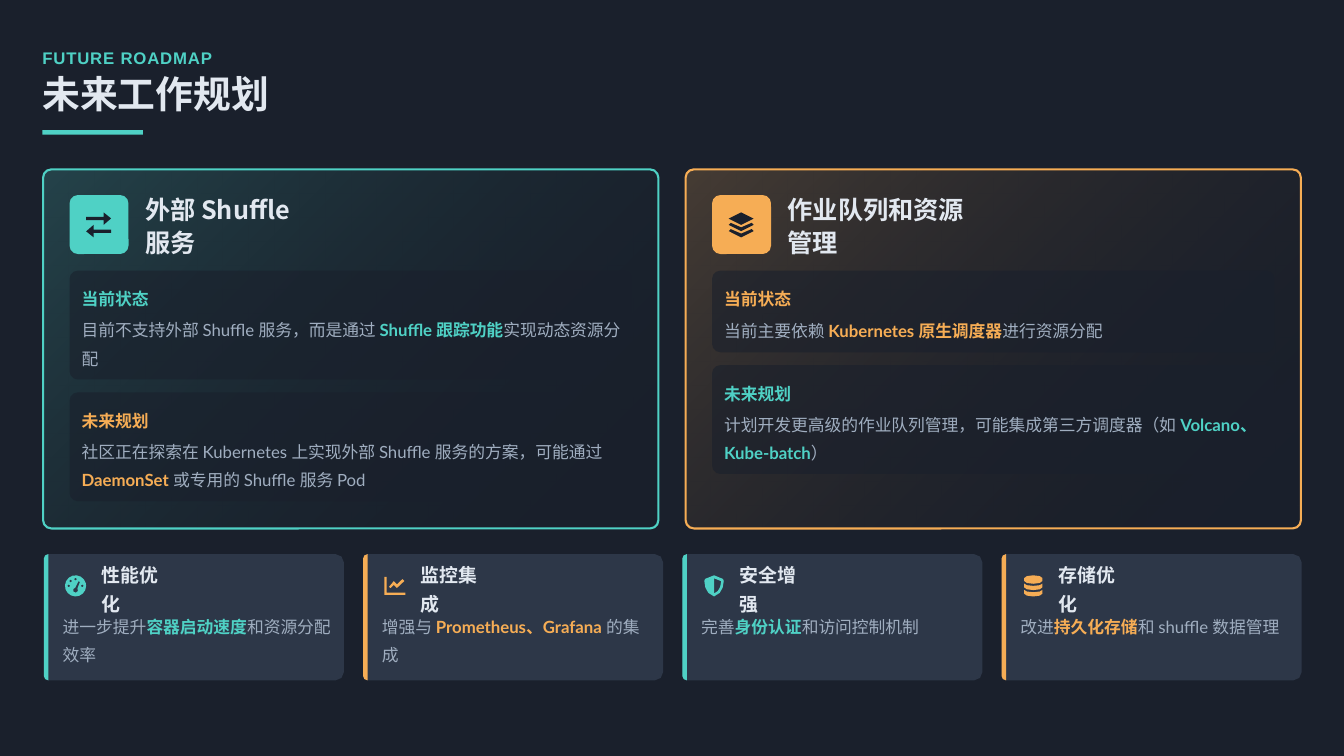
import math
from typing import NamedTuple

import lxml.etree
import pptx
import pptx.dml.color
import pptx.enum.dml
import pptx.enum.shapes
import pptx.enum.text
import pptx.oxml.ns
import pptx.util

Inches = pptx.util.Inches
RGBColor = pptx.dml.color.RGBColor
SHAPE = pptx.enum.shapes.MSO_SHAPE
TEAL = RGBColor(0x4F, 0xD1, 0xC5)
ORANGE = RGBColor(0xF6, 0xAD, 0x55)
NIGHT = RGBColor(0x1A, 0x20, 0x2C)
SLATE = RGBColor(0x2D, 0x37, 0x48)
WHITE = RGBColor(0xE2, 0xE8, 0xF0)
GREY = RGBColor(0xA0, 0xAE, 0xC0)
BLACK = RGBColor(0, 0, 0)
CJK = "Noto Sans CJK SC"
RADIUS = 0.11


class Box(NamedTuple):
    left: float
    top: float
    width: float
    height: float

    def inner(self, left, top, width, height):
        return Box(self.left + left, self.top + top, width, height)

    def lengths(self):
        return [Inches(value) for value in self]


# Text
def write(frame, spans, spacing):
    """Fill a frame with one paragraph of (text, size, font name, colour, bold) spans."""
    formats = {"word_wrap": True, "auto_size": pptx.enum.text.MSO_AUTO_SIZE.NONE,
               "vertical_anchor": pptx.enum.text.MSO_ANCHOR.MIDDLE,
               "margin_left": 0, "margin_top": 0, "margin_right": 0, "margin_bottom": 0}
    for name, value in formats.items():
        setattr(frame, name, value)
    para = frame.paragraphs[0]
    para.alignment = pptx.enum.text.PP_ALIGN.LEFT
    para.line_spacing = spacing
    for text, size, face, color, bold in spans:
        span = para.add_run()
        span.text = text
        for name, value in {"size": pptx.util.Pt(size), "name": face, "bold": bold}.items():
            setattr(span.font, name, value)
        span.font.color.rgb = color
        east = lxml.etree.SubElement(span._r.get_or_add_rPr(), pptx.oxml.ns.qn("a:ea"))
        east.set("typeface", CJK)
    return para


def add_text(page, box, spans, spacing):
    return write(page.shapes.add_textbox(*box.lengths()).text_frame, spans, spacing)


def add_heading(page, box, text, size, spacing, color=WHITE):
    add_text(page, box, [(text, size, CJK, color, True)], spacing)


def add_body(page, box, parts, accent):
    """Write plain, highlighted and plain text one after another."""
    colors = (GREY, accent, GREY)
    spans = [(text, 16, "Lato", color, color == accent) for text, color in zip(parts, colors)]
    add_text(page, box, spans, 1.4)


# Shapes
def set_alpha(element, percent):
    for color in element.iter(pptx.oxml.ns.qn("a:srgbClr")):
        lxml.etree.SubElement(color, pptx.oxml.ns.qn("a:alpha")).set("val", str(percent * 1000))


def paint(shape, color):
    shape.shadow.inherit = False
    shape.fill.solid()
    shape.fill.fore_color.rgb = color
    shape.line.fill.background()
    return shape


def add_panel(page, box, color, kind=SHAPE.ROUNDED_RECTANGLE):
    shape = page.shapes.add_shape(kind, *box.lengths())
    if kind == SHAPE.ROUNDED_RECTANGLE:
        shape.adjustments[0] = RADIUS / min(box.width, box.height)
    return paint(shape, color)


def add_outline(page, box, contours, color):
    """Draw closed contours whose points are fractions of the box."""
    builder = None
    for contour in contours:
        points = [(Inches(box.left + x * box.width), Inches(box.top + y * box.height))
                  for x, y in contour]
        if builder is None:
            builder = page.shapes.build_freeform(*points[0], scale=1.0)
        else:
            builder.move_to(*points[0])
        builder.add_line_segments(points[1:], close=True)
    paint(builder.convert_to_shape(), color)


def arc(x, y, wide, high, start, end, steps):
    angles = [math.radians(start + (end - start) * step / steps) for step in range(steps + 1)]
    return [(x + wide * math.cos(angle), y + high * math.sin(angle)) for angle in angles]


def corner(x, y, wide, high, start):
    return arc(x, y, wide, high, start, start + 90, 2)


def shift(points, down):
    return [(x, y + down) for x, y in points]


# Icons
ARROW = [(0, .18), (.7, .18), (.7, 0), (1, .24), (.7, .5), (.7, .31), (0, .31)]
SWAP = [ARROW, [(1 - x, 1 - y) for x, y in ARROW]]
SHEET = [(.08, .42), (.5, .6), (.92, .42), (1, .5), (.5, .75), (0, .5)]
LAYERS = [[(0, .25), (.5, 0), (1, .25), (.5, .5)], SHEET, shift(SHEET, .25)]
GAUGE = [arc(.5, .5, .5, .5, 0, 345, 15)]
GAUGE += [[(x - .07, y), (x, y - .07), (x + .07, y), (x, y + .07)]
          for x, y in ((.5, .18), (.27, .27), (.18, .5), (.82, .5))]
GAUGE += [arc(.5, .7, .12, .12, -40, 265, 5) + [(.64, .28), (.71, .31)]]
CHART = [[(0, .07), (.11, .07), (.11, .82), (1, .82), (1, .93), (0, .93)],
         [(.22, .55), (.45, .28), (.6, .43), (.86, .18), (.95, .27), (.6, .6), (.45, .45), (.3, .6)]]
SHIELD_HALF = [(.5, 0), (.92, .17), (.96, .27), (.91, .58), (.77, .83), (.5, 1)]
SHIELD = [SHIELD_HALF + [(1 - x, y) for x, y in SHIELD_HALF[-2:0:-1]],
          [(.5, .14), (.84, .28), (.79, .55), (.68, .74), (.5, .86)]]
DISK = arc(.5, .57, .43, .13, 0, 180, 4) + arc(.5, .39, .43, .11, 180, 0, 4)
DATABASE = [arc(.5, .13, .43, .13, 180, 360, 4) + arc(.5, .27, .43, .13, 0, 180, 4),
            DISK, shift(DISK, .3)]


# Regions
def add_header(page, box):
    para = add_text(page, box.inner(0, 0, 16.78, .33),
                    [("FUTURE ROADMAP", 16, "Arial", TEAL, True)], 1.3)
    para.runs[0]._r.get_or_add_rPr().set("spc", "80")
    title = page.shapes.title
    title.left, title.top, title.width, title.height = box.inner(0, .44, 16.92, .56).lengths()
    write(title.text_frame, [("未来工作规划", 36, CJK, WHITE, True)], .9)
    add_panel(page, box.inner(0, 1.16, 1.33, .06), TEAL, SHAPE.RECTANGLE)


def add_topic(page, box, accent, icon, heading, heading_width, sections):
    card = add_panel(page, box, accent)
    card.fill.gradient()
    card.fill.gradient_angle = 315
    for stop, color, place, alpha in zip(card.fill.gradient_stops, (accent, BLACK), (0, 1), (20, 0)):
        stop.color.rgb = color
        stop.position = place
        set_alpha(stop._gs, alpha)
    card.line.color.rgb = accent
    card.line.width = pptx.util.Pt(2)
    add_panel(page, box.inner(.35, .34, .78, .78), accent)
    add_outline(page, box.inner(.57, .57, .33, .33), icon, NIGHT)
    add_heading(page, box.inner(1.35, .51, heading_width, .44), heading, 24, 1.1)
    top = 1.34
    for label, color, lines, parts in sections:
        panel = box.inner(.35, top, 7.44, .72 + .36 * lines)
        set_alpha(add_panel(page, panel, NIGHT)._element.spPr, 60)
        add_heading(page, panel.inner(.16, .17, 7.22, .33), label, 16, 1.3, color)
        add_body(page, panel.inner(.16, .56, 7.22, .36 * lines), parts, color)
        top += panel.height + .17


def add_feature(page, box, accent, icon, heading, lines, parts):
    edge = .06
    near, far = edge / box.width, RADIUS / box.width
    rise, drop = edge / box.height, RADIUS / box.height
    left_side = corner(near, 1 - rise, near, rise, 90) + corner(near, rise, near, rise, 180)
    right_side = corner(1 - far, drop, far, drop, 270) + corner(1 - far, 1 - drop, far, drop, 0)
    add_outline(page, box, [left_side + right_side], SLATE)
    add_outline(page, box, [left_side], accent)
    add_outline(page, box.inner(.28, .28, .28, .28), icon, accent)
    add_heading(page, box.inner(.76, .23, .93, .39), heading, 18, 1.3)
    add_body(page, box.inner(.25, .73, 3.61, .36 * lines), parts, accent)


TOPICS = [
    (TEAL, SWAP, "外部 Shuffle 服务", 2.19, [
        ("当前状态", TEAL, 2,
         ("目前不支持外部 Shuffle 服务，而是通过 ", "Shuffle 跟踪功能", "实现动态资源分配")),
        ("未来规划", ORANGE, 2,
         ("社区正在探索在 Kubernetes 上实现外部 Shuffle 服务的方案，可能通过 ", "DaemonSet",
          " 或专用的 Shuffle 服务 Pod"))]),
    (ORANGE, LAYERS, "作业队列和资源管理", 2.57, [
        ("当前状态", ORANGE, 1, ("当前主要依赖 ", "Kubernetes 原生调度器", "进行资源分配")),
        ("未来规划", TEAL, 2,
         ("计划开发更高级的作业队列管理，可能集成第三方调度器（如 ", "Volcano、Kube-batch", "）"))]),
]
FEATURES = [
    (TEAL, GAUGE, "性能优化", 2, ("进一步提升", "容器启动速度", "和资源分配效率")),
    (ORANGE, CHART, "监控集成", 2, ("增强与 ", "Prometheus、Grafana", " 的集成")),
    (TEAL, SHIELD, "安全增强", 1, ("完善", "身份认证", "和访问控制机制")),
    (ORANGE, DATABASE, "存储优化", 1, ("改进", "持久化存储", "和 shuffle 数据管理")),
]


def main():
    deck = pptx.Presentation()
    deck.slide_width, deck.slide_height = Inches(17.78), Inches(10)
    page = deck.slides.add_slide(deck.slide_layouts[5])
    page.background.fill.solid()
    page.background.fill.fore_color.rgb = NIGHT
    add_header(page, Box(.56, .56, 16.92, 1.22))
    for index, topic in enumerate(TOPICS):
        add_topic(page, Box(.57 + index * 8.5, 2.24, 8.14, 4.75), *topic)
    for index, feature in enumerate(FEATURES):
        add_feature(page, Box(.58 + index * 12.67 / 3, 7.33, 3.97, 1.67), *feature)
    deck.save("out.pptx")


if __name__ == "__main__":
    main()
